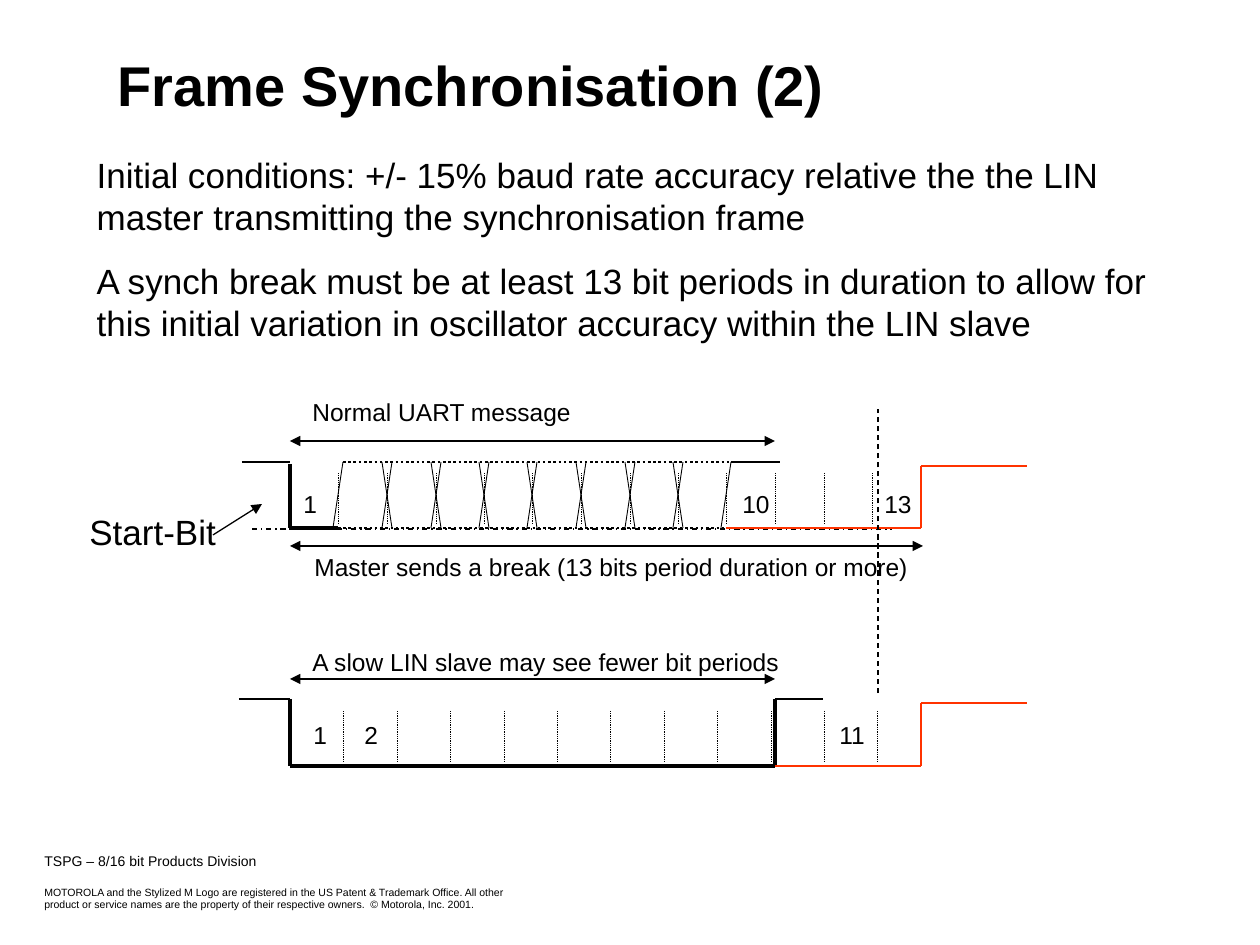
from dataclasses import dataclass
from itertools import pairwise

from lxml import etree
from pptx import Presentation
from pptx.dml.color import RGBColor
from pptx.enum.dml import MSO_LINE
from pptx.enum.shapes import MSO_CONNECTOR
from pptx.enum.text import MSO_ANCHOR, MSO_AUTO_SIZE, PP_ALIGN
from pptx.oxml.ns import qn
from pptx.util import Emu, Pt

STRAIGHT = MSO_CONNECTOR.STRAIGHT
DOT, DASH, DASH_DOT = MSO_LINE.ROUND_DOT, MSO_LINE.DASH, MSO_LINE.DASH_DOT
LEFT, MIDDLE, TOP = PP_ALIGN.LEFT, MSO_ANCHOR.MIDDLE, MSO_ANCHOR.TOP
NO_FIT = MSO_AUTO_SIZE.NONE

PX_PER_INCH = 126
START, BREAK_END, IDLE_END = 290, 921, 1027
UART_HIGH, UART_LOW, UART_PITCH = 462, 528, 48.5
SLAVE_HIGH, SLAVE_LOW, SLAVE_PITCH = 699, 766, 53.4
SLANT = 5


@dataclass(frozen=True)
class Theme:
    font: str = "Arial"
    ink: RGBColor = RGBColor(0, 0, 0)
    red: RGBColor = RGBColor(0xFF, 0x33, 0)
    title: int = 32
    body: int = 20
    label: int = 14
    footer: int = 8
    legal: int = 6
    hair: float = 0.5
    thin: float = 0.75
    medium: float = 1.5
    thick: float = 2.25


THEME = Theme()


def px(n):
    return Emu(round(n * 914400 / PX_PER_INCH))


def bit(n, pitch):
    return START + round(n * pitch)


def place(s, x, y, w, h):
    s.left, s.top, s.width, s.height = px(x), px(y), px(w), px(h)


def write(tf, text, size=THEME.label, bold=False, before=0, first=True):
    p = tf.paragraphs[0] if first else tf.add_paragraph()
    p.text = text
    p.alignment = LEFT
    p.space_before = Pt(before)
    pPr = p._p.get_or_add_pPr()
    pPr.set("marL", "0")
    pPr.set("indent", "0")
    etree.SubElement(pPr, qn("a:buNone"))
    for r in p.runs:
        r.font.name = THEME.font
        r.font.size = Pt(size)
        r.font.bold = bold
        r.font.color.rgb = THEME.ink


def add_label(slide, text, x, y, w, h=43, size=THEME.label):
    s = slide.shapes.add_textbox(px(x), px(y), px(w), px(h))
    s.text_frame.word_wrap = True
    s.text_frame.auto_size = NO_FIT
    write(s.text_frame, text, size=size)


def add_line(slide, start, end, width=THEME.thin, color=THEME.ink, dash=None, arrows=()):
    s = slide.shapes.add_connector(STRAIGHT, *map(px, start + end))
    s.line.width = Pt(width)
    s.line.color.rgb = color
    if dash is not None:
        s.line.dash_style = dash
    ln = s.line._get_or_add_ln()
    for end_name in arrows:
        etree.SubElement(ln, qn(f"a:{end_name}"), type="triangle")
    etree.SubElement(s._element.spPr, qn("a:effectLst"))


def add_trace(slide, points, width=THEME.medium, color=THEME.ink):
    for start, end in pairwise(points):
        add_line(slide, start, end, width=width, color=color)


def add_span(slide, x1, x2, y):
    add_line(slide, (x1, y), (x2, y), arrows=("headEnd", "tailEnd"))


def add_ticks(slide, count, pitch, top, bottom):
    for n in range(1, count + 1):
        x = bit(n, pitch)
        add_line(slide, (x, bottom), (x, top), width=THEME.hair, dash=DOT)


def fill_placeholders(slide):
    title, body = slide.shapes.title, slide.placeholders[1]
    place(title, 105, 21, 1092, 126)
    place(body, 84, 147, 1103, 203)
    for s, anchor in ((title, MIDDLE), (body, TOP)):
        s.text_frame.word_wrap = True
        s.text_frame.auto_size = NO_FIT
        s.text_frame.vertical_anchor = anchor
    write(title.text_frame, "Frame Synchronisation (2)", size=THEME.title, bold=True)
    write(body.text_frame, "Initial conditions: +/- 15% baud rate accuracy relative the the LIN "
          "master transmitting the synchronisation frame", size=THEME.body)
    write(body.text_frame, "A synch break must be at least 13 bit periods in duration to allow for "
          "this initial variation in oscillator accuracy within the LIN slave",
          size=THEME.body, before=12.5, first=False)


def draw_uart(slide):
    first, last, stop = (bit(n, UART_PITCH) for n in (1, 9, 10))
    add_ticks(slide, 12, UART_PITCH, 473, 524)
    add_line(slide, (252, 529), (892, 529), dash=DASH_DOT)
    for n in range(1, 10):
        x = bit(n, UART_PITCH)
        add_line(slide, (x + SLANT, UART_HIGH), (x - SLANT, UART_LOW), width=THEME.hair)
        if 1 < n < 9:
            add_line(slide, (x - SLANT, UART_HIGH), (x + SLANT, UART_LOW), width=THEME.hair)
    for y, shift in ((UART_HIGH, SLANT), (UART_LOW, 0)):
        add_line(slide, (first + shift, y), (last + shift, y), width=THEME.medium, dash=DOT)
    add_trace(slide, [(242, UART_HIGH), (START, UART_HIGH)])
    add_trace(slide, [(START, UART_HIGH + 2), (START, UART_LOW), (first, UART_LOW)],
              width=THEME.thick)
    add_trace(slide, [(last + SLANT, UART_HIGH), (stop + SLANT, UART_HIGH)])
    add_trace(slide, [(last, UART_LOW), (BREAK_END, UART_LOW), (BREAK_END, 466), (IDLE_END, 466)],
              color=THEME.red)
    add_span(slide, START, stop, 441)
    add_span(slide, START, BREAK_END + 2, 546)
    add_line(slide, (213, 535), (262, 504), arrows=("tailEnd",))
    add_label(slide, "Start-Bit", 77, 504, 165, h=55, size=THEME.body)
    add_label(slide, "Normal UART message", 300, 391, 300)
    add_label(slide, "Master sends a break (13 bits period duration or more)", 302, 546, 634)
    for text, x, w in (("1", 291, 44), ("10", 730, 62), ("13", 872, 62)):
        add_label(slide, text, x, 483, w)


def draw_slave(slide):
    end = bit(10, UART_PITCH)
    add_ticks(slide, 11, SLAVE_PITCH, 711, 762)
    add_trace(slide, [(239, SLAVE_HIGH), (START, SLAVE_HIGH)])
    add_trace(slide, [(START, SLAVE_HIGH), (START, SLAVE_LOW), (end, SLAVE_LOW), (end, SLAVE_HIGH)],
              width=THEME.thick)
    add_trace(slide, [(end, SLAVE_HIGH), (823, SLAVE_HIGH)])
    add_trace(slide, [(end, SLAVE_LOW), (BREAK_END, SLAVE_LOW), (BREAK_END, 703), (IDLE_END, 703)],
              color=THEME.red)
    add_span(slide, START, end, 679)
    add_label(slide, "A slow LIN slave may see fewer bit periods", 300, 641, 508)
    for text, x, w in (("1", 301, 44), ("2", 352, 44), ("11", 827, 62)):
        add_label(slide, text, x, 714, w)


def add_footer(slide):
    s = slide.shapes.add_textbox(px(32), px(846), px(557), px(78))
    tf = s.text_frame
    tf.word_wrap = True
    write(tf, "TSPG – 8/16 bit Products Division", size=THEME.footer)
    write(tf, "MOTOROLA and the Stylized M Logo are registered in the US Patent & Trademark Office. "
          "All other \vproduct or service names are the property of their respective owners.  "
          "© Motorola, Inc. 2001.", size=THEME.legal, before=9.5, first=False)


def main():
    prs = Presentation()
    prs.slide_width, prs.slide_height = px(1260), px(945)
    slide = prs.slides.add_slide(prs.slide_layouts[1])
    fill_placeholders(slide)
    draw_uart(slide)
    draw_slave(slide)
    add_line(slide, (878, 693), (878, 409), dash=DASH)
    add_footer(slide)
    prs.save("out.pptx")


if __name__ == "__main__":
    main()
